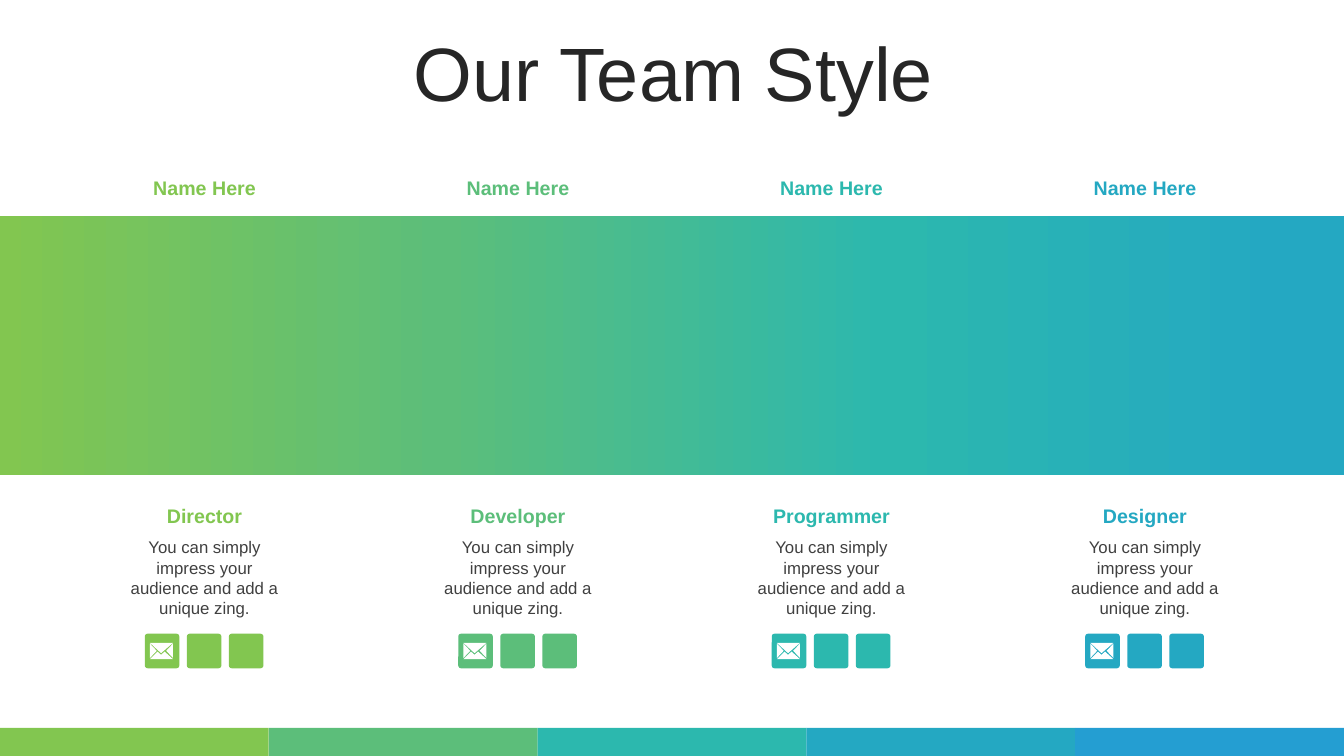
"""Build the team slide with four members on a gradient band."""
import copy
import dataclasses
import typing

import pptx
import pptx.dml.color
import pptx.enum.shapes
import pptx.enum.text
import pptx.oxml.ns
import pptx.shapes.autoshape
import pptx.slide
import pptx.util

Cm = pptx.util.Cm
RGB = pptx.dml.color.RGBColor.from_string
SHAPE = pptx.enum.shapes.MSO_SHAPE
ANCHOR = pptx.enum.text.MSO_ANCHOR


@dataclasses.dataclass(frozen=True)
class Theme:
    """Colours and type sizes of the slide."""
    font: str = "Arial"
    accents: tuple[str, ...] = ("82C650", "5CBE7A", "2CB8AE", "24A8C2", "249ED2")
    title: str = "262626"
    body: str = "404040"
    white: str = "FFFFFF"
    title_pt: int = 54
    label_pt: int = 14
    body_pt: int = 12


@dataclasses.dataclass(frozen=True)
class Box:
    """A rectangle in centimetres."""
    left: float
    top: float
    width: float
    height: float

    def lengths(self) -> list[pptx.util.Length]:
        """Return the four sides as lengths."""
        return [Cm(v) for v in dataclasses.astuple(self)]


@dataclasses.dataclass(frozen=True)
class Member:
    """One team member."""
    role: str
    color: str
    name: str = "Name Here"
    about: str = "You can simply impress your audience and add a unique zing."


THEME = Theme()
SLIDE_W, SLIDE_H = 33.87, 19.05
COLUMN_LEFT, COLUMN_PITCH, COLUMN_W = 2.82, 7.9, 4.67
TILE_INDENT, TILE_TOP, TILE_PITCH, TILE_SIZE = 0.83, 15.97, 1.06, 0.87
STRIP_H = 0.71
GRADIENT_POSITIONS = (0, 0.33, 0.66, 0.96)
ROLES = ("Director", "Developer", "Programmer", "Designer")
ENVELOPE = (
    ((50, 45), (41, 53), (32, 45), (13, 64), (71, 64)),
    ((71, 25), (54, 43), (71, 61)),
    ((13, 25), (13, 61), (30, 43)),
    ((13, 23), (41, 49), (71, 23)),
)


def paint(s: pptx.shapes.autoshape.Shape, color: str) -> None:
    """Give a shape a flat fill without line or shadow."""
    s.fill.solid()
    s.fill.fore_color.rgb = RGB(color)
    s.line.fill.background()
    s.shadow.inherit = False


def add_block(slide: pptx.slide.Slide, box: Box, color: str,
              kind: SHAPE = SHAPE.RECTANGLE) -> pptx.shapes.autoshape.Shape:
    """Add a flat preset shape."""
    s = slide.shapes.add_shape(kind, *box.lengths())
    paint(s, color)
    return s


def add_text(slide: pptx.slide.Slide, box: Box, text: str, size: int, color: str,
             bold: bool = False, anchor: ANCHOR = ANCHOR.TOP,
             spacing: typing.Optional[float] = None) -> None:
    """Add a centred, wrapped text box."""
    tf = slide.shapes.add_textbox(*box.lengths()).text_frame
    tf.word_wrap = True
    tf.vertical_anchor = anchor
    p = tf.paragraphs[0]
    p.text = text
    p.alignment = pptx.enum.text.PP_ALIGN.CENTER
    p.line_spacing = spacing
    p.font.name = THEME.font
    p.font.size = pptx.util.Pt(size)
    p.font.bold = bold
    p.font.color.rgb = RGB(color)


def add_band(slide: pptx.slide.Slide) -> None:
    """Add the full-width gradient band."""
    band = add_block(slide, Box(0, 5.44, SLIDE_W, 6.53), THEME.accents[0])
    band.fill.gradient()
    band.fill.gradient_angle = 0
    stops = band._element.spPr.find(".//" + pptx.oxml.ns.qn("a:gsLst"))
    while len(stops) < len(GRADIENT_POSITIONS):
        stops.append(copy.deepcopy(stops[0]))
    for stop, position, color in zip(band.fill.gradient_stops, GRADIENT_POSITIONS,
                                     THEME.accents):
        stop.position = position
        stop.color.rgb = RGB(color)


def add_strip(slide: pptx.slide.Slide) -> None:
    """Add the row of colour blocks along the bottom edge."""
    width = SLIDE_W / len(THEME.accents)
    for i, color in enumerate(THEME.accents):
        add_block(slide, Box(i * width, SLIDE_H - STRIP_H, width, STRIP_H), color)


def add_envelope(slide: pptx.slide.Slide, left: float, top: float) -> None:
    """Add the white envelope of the mail tile."""
    first, *others = ENVELOPE
    outline = slide.shapes.build_freeform(*first[0], scale=Cm(0.01))
    outline.add_line_segments(first[1:], close=True)
    for points in others:
        outline.move_to(*points[0])
        outline.add_line_segments(points[1:], close=True)
    paint(outline.convert_to_shape(Cm(left), Cm(top)), THEME.white)


def add_member(slide: pptx.slide.Slide, member: Member, left: float) -> None:
    """Add the name, role, description and contact tiles of a member."""
    add_text(slide, Box(left, 4.32, COLUMN_W, 0.89), member.name,
             THEME.label_pt, member.color, bold=True)
    add_text(slide, Box(left, 12.55, COLUMN_W, 0.89), member.role,
             THEME.label_pt, member.color, bold=True, anchor=ANCHOR.MIDDLE)
    add_text(slide, Box(left, 13.41, COLUMN_W, 2.31), member.about,
             THEME.body_pt, THEME.body)
    tile_left = left + TILE_INDENT
    for i in range(3):
        box = Box(tile_left + i * TILE_PITCH, TILE_TOP, TILE_SIZE, TILE_SIZE)
        tile = add_block(slide, box, member.color, SHAPE.ROUNDED_RECTANGLE)
        tile.adjustments[0] = 0.08
    add_envelope(slide, tile_left, TILE_TOP)


def main() -> None:
    """Build and save the slide."""
    prs = pptx.Presentation()
    prs.slide_width, prs.slide_height = Cm(SLIDE_W), Cm(SLIDE_H)
    slide = prs.slides.add_slide(prs.slide_layouts[6])
    add_band(slide)
    add_strip(slide)
    add_text(slide, Box(0.89, 0.94, 32.16, 2.01), "Our Team Style", THEME.title_pt,
             THEME.title, anchor=ANCHOR.MIDDLE, spacing=0.9)
    for i, (role, color) in enumerate(zip(ROLES, THEME.accents)):
        add_member(slide, Member(role, color), COLUMN_LEFT + i * COLUMN_PITCH)
    prs.save("out.pptx")


if __name__ == "__main__":
    main()
